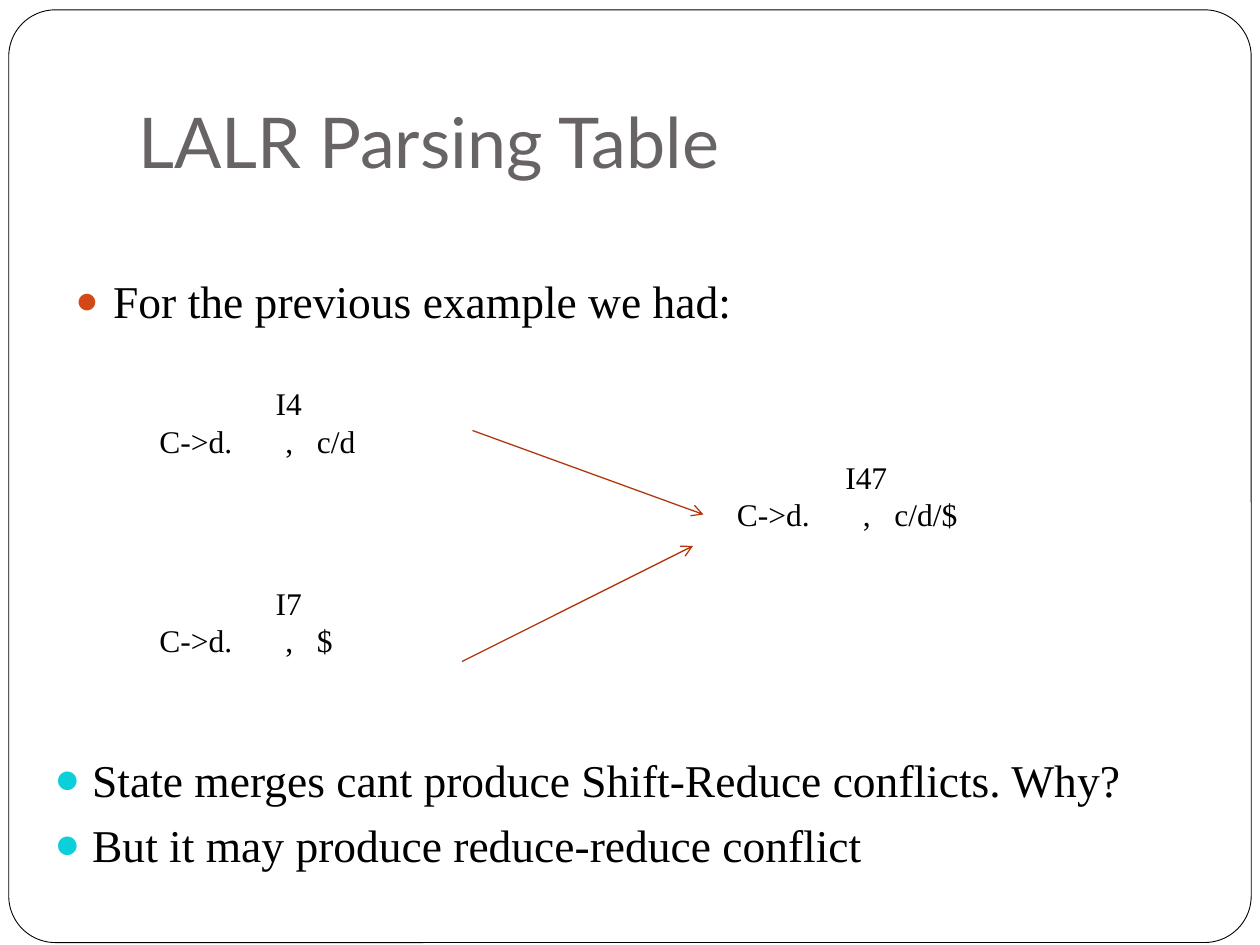
from dataclasses import dataclass

from lxml import etree
from pptx import Presentation
from pptx.dml.color import RGBColor
from pptx.enum.shapes import MSO_CONNECTOR as Connector, MSO_SHAPE as Shape
from pptx.enum.text import MSO_ANCHOR as Anchor, PP_ALIGN as Align
from pptx.oxml.ns import qn
from pptx.util import Pt

BLACK = RGBColor(0x00, 0x00, 0x00)
WHITE = RGBColor(0xFF, 0xFF, 0xFF)
TITLE_GRAY = RGBColor(0x69, 0x64, 0x64)
ORANGE = RGBColor(0xD3, 0x48, 0x17)
TURQUOISE = RGBColor(0x0B, 0xD0, 0xD9)
ARROW_RED = RGBColor(0xB1, 0x36, 0x0B)
SERIF = "Times New Roman"
TAB_STOPS = (72, 90)  # comma, then lookahead
STATE_SIZE = (162, 94)


@dataclass(frozen=True)
class Bullet:
    color: RGBColor
    percent: int
    indent: float = 21.6


@dataclass(frozen=True)
class State:
    name: str
    lookahead: str
    left: float
    top: float


@dataclass(frozen=True)
class Arrow:
    start: tuple[float, float]
    end: tuple[float, float]


STATES = (
    State("I4", "c/d", 84, 216),
    State("I7", "$", 84, 330),
    State("I47", "c/d/$", 414, 258),
)
ARROWS = (
    Arrow((270, 246), (402, 294)),
    Arrow((264, 378), (396, 312)),
)


def add_bullet(paragraph, bullet: Bullet) -> None:
    properties = paragraph._p.get_or_add_pPr()
    properties.set("marL", str(Pt(bullet.indent)))
    properties.set("indent", str(-Pt(bullet.indent)))
    color = etree.SubElement(properties, qn("a:buClr"))
    etree.SubElement(color, qn("a:srgbClr"), val=str(bullet.color))
    etree.SubElement(properties, qn("a:buSzPct"), val=str(bullet.percent * 1000))
    etree.SubElement(properties, qn("a:buFont"), typeface=SERIF)
    etree.SubElement(properties, qn("a:buChar"), char="●")


def add_tab_stops(paragraph) -> None:
    tabs = etree.SubElement(paragraph._p.get_or_add_pPr(), qn("a:tabLst"))
    for position in TAB_STOPS:
        etree.SubElement(tabs, qn("a:tab"), pos=str(Pt(position)), algn="l")


def add_text(slide, lines, left, top, width, height, *, size, font=SERIF,
             color=BLACK, anchor=Anchor.TOP, bottom_inset=3.6, bullet=None,
             center_first=False, space_before=0):
    shape = slide.shapes.add_textbox(Pt(left), Pt(top), Pt(width), Pt(height))
    frame = shape.text_frame
    frame.word_wrap = True
    frame.vertical_anchor = anchor
    frame.margin_bottom = Pt(bottom_inset)
    for index, line in enumerate(lines):
        paragraph = frame.add_paragraph() if index else frame.paragraphs[0]
        if bullet:
            add_bullet(paragraph, bullet)
        if "\t" in line:
            add_tab_stops(paragraph)
        if index and space_before:
            paragraph.space_before = Pt(space_before)
        centered = center_first and index == 0
        paragraph.alignment = Align.CENTER if centered else Align.LEFT
        run = paragraph.add_run()
        run.text = line
        run.font.name = font
        run.font.size = Pt(size)
        run.font.color.rgb = color
    return shape


def add_frame(slide) -> None:
    shape = slide.shapes.add_shape(
        Shape.ROUNDED_RECTANGLE, Pt(5), Pt(5.6), Pt(710), Pt(533))
    shape.adjustments[0] = 0.05
    shape.shadow.inherit = False
    shape.fill.solid()
    shape.fill.fore_color.rgb = WHITE
    shape.line.color.rgb = BLACK
    shape.line.width = Pt(0.5)


def add_state(slide, state: State) -> None:
    add_text(slide, [state.name, f"C->d.\t,\t{state.lookahead}"],
             state.left, state.top, *STATE_SIZE, size=18, center_first=True)


def add_arrow(slide, arrow: Arrow) -> None:
    ends = [Pt(value) for value in (*arrow.start, *arrow.end)]
    connector = slide.shapes.add_connector(Connector.STRAIGHT, *ends)
    connector.line.color.rgb = ARROW_RED
    connector.line.width = Pt(0.75)
    etree.SubElement(connector.line._get_or_add_ln(), qn("a:tailEnd"), type="arrow")
    etree.SubElement(connector._element.spPr, qn("a:effectLst"))


def main() -> None:
    presentation = Presentation()
    presentation.slide_width = Pt(720)
    presentation.slide_height = Pt(540)
    slide = presentation.slides.add_slide(presentation.slide_layouts[6])

    # Frame and title
    add_frame(slide)
    add_text(slide, ["LALR Parsing Table"], 72, 21.6, 612, 90, size=40,
             font="Lato", color=TITLE_GRAY, anchor=Anchor.BOTTOM, bottom_inset=7.2)

    # Introduction
    add_text(slide, ["For the previous example we had:"], 36, 152.6, 648, 88,
             size=26, bullet=Bullet(ORANGE, 85))

    # Merging of two states into one
    for state in STATES:
        add_state(slide, state)
    for arrow in ARROWS:
        add_arrow(slide, arrow)

    # Conclusions
    add_text(slide, ["State merges cant produce Shift-Reduce conflicts. Why?",
                     "But it may produce reduce-reduce conflict"],
             24, 426, 648, 88, size=26, bullet=Bullet(TURQUOISE, 95),
             space_before=6)

    presentation.save("out.pptx")


if __name__ == "__main__":
    main()
